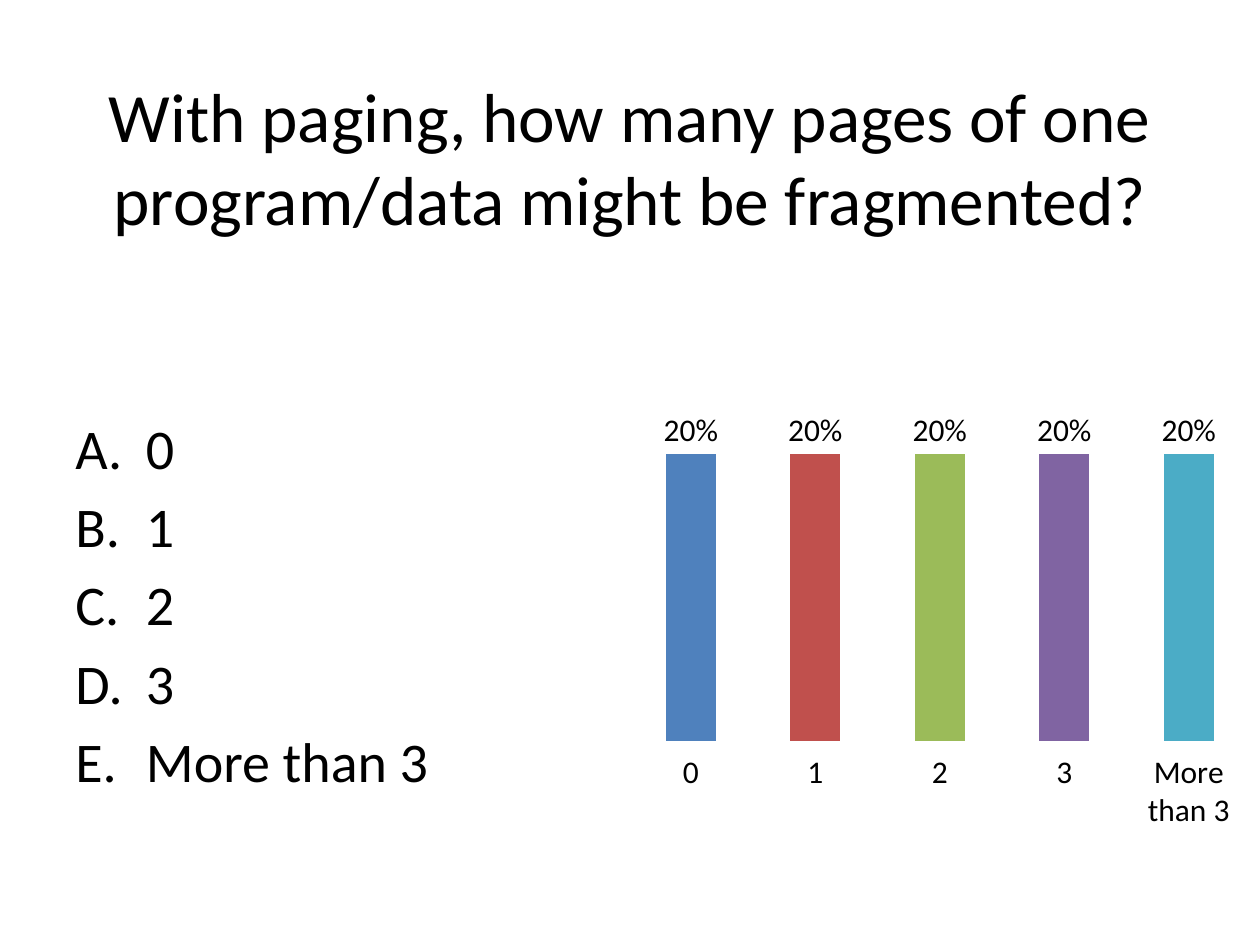
import lxml.etree
import pptx
import pptx.chart.data
import pptx.dml.color
import pptx.enum.chart
import pptx.enum.text
import pptx.oxml
import pptx.oxml.ns
import pptx.util
from pptx.util import Inches

FONT = "Calibri"
ANSWERS = ["0", "1", "2", "3", "More than 3"]
BAR_COLORS = ["4F81BD", "C0504D", "9BBB59", "8064A2", "4BACC6"]


def color(hex_string):
    return pptx.dml.color.RGBColor.from_string(hex_string)


def style_font(font, size):
    font.name = FONT
    font.size = pptx.util.Pt(size)
    font.color.rgb = color("000000")


presentation = pptx.Presentation()
presentation.slide_width = Inches(10)
presentation.slide_height = Inches(7.5)
slide = presentation.slides.add_slide(presentation.slide_layouts[6])

# Poll result chart
chart_data = pptx.chart.data.CategoryChartData(number_format="0%")
chart_data.categories = ANSWERS
chart_data.add_series("Series 1", [0.2] * len(ANSWERS))
chart = slide.shapes.add_chart(
    pptx.enum.chart.XL_CHART_TYPE.COLUMN_CLUSTERED,
    Inches(4.93), Inches(2.71), Inches(5), Inches(4.67), chart_data).chart
chart.has_legend = False
chart.has_title = False
style_font(chart.font, 18)

plot = chart.plots[0]
plot.gap_width = 150
plot.vary_by_categories = False
for index, bar_color in enumerate(BAR_COLORS):
    fill = plot.series[0].points[index].format.fill
    fill.solid()
    fill.fore_color.rgb = color(bar_color)

plot.has_data_labels = True
labels = plot.data_labels
labels.show_value = True
labels.number_format = "0%"
labels.number_format_is_linked = False
labels.position = pptx.enum.chart.XL_LABEL_POSITION.OUTSIDE_END

for axis in (chart.category_axis, chart.value_axis):
    axis.has_major_gridlines = False
    axis.format.line.fill.background()
chart.value_axis.minimum_scale = 0
chart.value_axis.maximum_scale = 0.25
chart.value_axis.tick_label_position = pptx.enum.chart.XL_TICK_LABEL_POSITION.NONE

# Plot area position as fractions of the chart
plot_area = chart.category_axis._element.getparent()
for old_layout in plot_area.findall(pptx.oxml.ns.qn("c:layout")):
    plot_area.remove(old_layout)
layout = lxml.etree.Element(pptx.oxml.ns.qn("c:layout"))
manual = lxml.etree.SubElement(layout, pptx.oxml.ns.qn("c:manualLayout"))
for tag, value in [("layoutTarget", "outer"), ("xMode", "edge"), ("yMode", "edge"),
                   ("x", "0.01"), ("y", "0.07"), ("w", "0.99"), ("h", "0.76")]:
    lxml.etree.SubElement(manual, pptx.oxml.ns.qn("c:" + tag)).set("val", value)
plot_area.insert(0, layout)

# Question
title = slide.shapes.add_textbox(Inches(0.5), Inches(0.45), Inches(9), Inches(1.58))
title.text_frame.word_wrap = True
title.text_frame.vertical_anchor = pptx.enum.text.MSO_ANCHOR.MIDDLE
title.text_frame.text = "With paging, how many pages of one program/data might be fragmented?"
paragraph = title.text_frame.paragraphs[0]
paragraph.alignment = pptx.enum.text.PP_ALIGN.CENTER
style_font(paragraph.runs[0].font, 39.6)

# Lettered answers
answers = slide.shapes.add_textbox(Inches(0.5), Inches(3.23), Inches(4.5), Inches(3.47))
answers.text_frame.word_wrap = True
answers.text_frame.text = "\n".join(ANSWERS)
for index, paragraph in enumerate(answers.text_frame.paragraphs):
    if index > 0:
        paragraph.space_before = pptx.util.Pt(6.4)
    properties = paragraph._p.get_or_add_pPr()
    properties.set("marL", str(Inches(0.56)))
    properties.set("indent", str(Inches(-0.56)))
    bullet_font = lxml.etree.SubElement(properties, pptx.oxml.ns.qn("a:buFont"))
    bullet_font.set("typeface", FONT)
    bullet = lxml.etree.SubElement(properties, pptx.oxml.ns.qn("a:buAutoNum"))
    bullet.set("type", "alphaUcPeriod")
    style_font(paragraph.runs[0].font, 32)

presentation.save("out.pptx")
